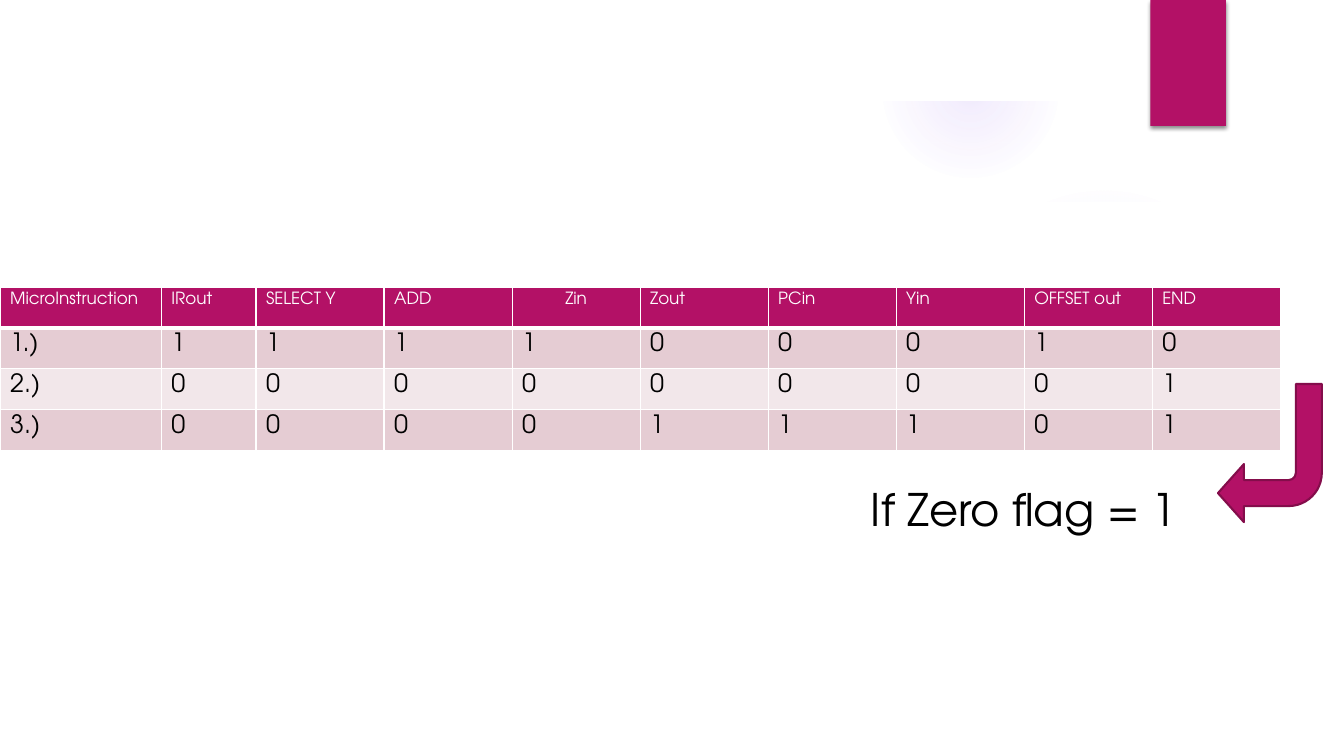
"""Build a slide with a microinstruction table and its zero flag branch."""
import pptx
import pptx.util
import pptx.dml.color
import pptx.enum.shapes
import pptx.enum.text
import pptx.oxml
import pptx.oxml.ns

Inches, Pt = pptx.util.Inches, pptx.util.Pt
RGB = pptx.dml.color.RGBColor
KIND = pptx.enum.shapes.MSO_SHAPE
PINK = RGB(0xB3, 0x11, 0x66)
PLUM = RGB(0x84, 0x0D, 0x4B)
ROSE = RGB(0xE5, 0xCC, 0xD3)
PALE = RGB(0xF2, 0xE7, 0xEA)
GLOW = RGB(0x9B, 0x6B, 0xF2)
WHITE = RGB(255, 255, 255)
BLACK = RGB(0, 0, 0)
FONT = "TeX Gyre Adventor"

ROWS = [
    ("MicroInstruction", "IRout", "SELECT Y", "ADD", "Zin", "Zout", "PCin", "Yin",
     "OFFSET out", "END"),
    ("1.)", *"111100010"),
    ("2.)", *"000000001"),
    ("3.)", *"000011101"),
]
COLS = [1.6, 0.94] + [1.27] * 8
HEAD = {"size": Pt(12), "name": FONT, "bold": False}
BODY = {"size": Pt(18), "name": FONT, "bold": False}
TITLE = {"size": Pt(32), "name": FONT}
GLOWS = [
    ((9.41, 1.83, 3.08, 3.08), [(0, 7), (36, 6), (69, 0)]),
    ((8.75, 0.01, 1.75, 1.75), [(0, 14), (36, 7), (73, 0)]),
]
PANEL = [(0.5, 2.04), (0.5, 7), (12.84, 7), (12.84, 2.04), (12, 2.17), (11.16, 2.27),
         (10.32, 2.35), (9.49, 2.41), (8.67, 2.45), (7.86, 2.47), (7.08, 2.48),
         (6.32, 2.47), (5.59, 2.46), (4.88, 2.43), (4.01, 2.38), (3.21, 2.33),
         (2.49, 2.27), (1.87, 2.21), (1.35, 2.15), (0.94, 2.1)]
FRAME = [(0, 0), (0, 7.5), (13.33, 7.5), (13.33, 0)]
HOLE = [(12.81, 6.98), (0.52, 6.98), (0.52, 0.52), (12.81, 0.52)]


def node(xml):
    """Parse a drawing element."""
    name, rest = xml[:xml.index(" ")], xml[xml.index(" "):]
    return pptx.oxml.parse_xml(name + " " + pptx.oxml.ns.nsdecls("a") + rest)


def style(part, text, form, color):
    """Write one run with the given font values."""
    run = part.paragraphs[0].add_run()
    run.text = text
    for key, val in form.items():
        setattr(run.font, key, val)
    run.font.color.rgb = color


def plain(shape, color=None):
    """Drop the shadow and line, and set a solid fill."""
    shape.shadow.inherit = False
    shape.line.fill.background()
    if color is not None:
        shape.fill.solid()
        shape.fill.fore_color.rgb = color
    return shape


def place(kind, box):
    """Add a preset shape at a box in inches."""
    return slide.shapes.add_shape(kind, *map(Inches, box))


def outline(*loops):
    """Add a white shape made of closed loops."""
    pen = None
    for loop in loops:
        if pen is None:
            pen = slide.shapes.build_freeform(*loop[0], scale=Inches(1))
        else:
            pen.move_to(*loop[0])
        pen.add_line_segments(loop[1:], close=True)
    return plain(pen.convert_to_shape(), WHITE)


def edge(cell, side, width):
    """Return a white border for one side of a cell."""
    return node(f'<a:ln{side} w="{Pt(width)}"><a:solidFill><a:srgbClr val="{WHITE}"/>'
                f'</a:solidFill></a:ln{side}>')


deck = pptx.Presentation()
deck.slide_width, deck.slide_height = Inches(13.33), Inches(7.5)
slide = deck.slides.add_slide(deck.slide_layouts[6])

for box, stops in GLOWS:
    disc = plain(place(KIND.OVAL, box))
    marks = "".join(f'<a:gs pos="{at * 1000}"><a:srgbClr val="{GLOW}">'
                    f'<a:alpha val="{alpha * 1000}"/></a:srgbClr></a:gs>'
                    for at, alpha in stops)
    disc.element.spPr.insert(2, node(
        f'<a:gradFill rotWithShape="1"><a:gsLst>{marks}</a:gsLst><a:path path="circle">'
        '<a:fillToRect l="50000" t="50000" r="50000" b="50000"/></a:path></a:gradFill>'))
outline(PANEL)
outline(FRAME, HOLE)

tab = plain(place(KIND.RECTANGLE, (11.41, 0, 0.75, 1.25)), PINK)
tab.element.spPr.find(pptx.oxml.ns.qn("a:effectLst")).append(node(
    f'<a:outerShdw blurRad="{Pt(3)}" dist="{Pt(2)}" dir="5400000" rotWithShape="0">'
    f'<a:srgbClr val="{BLACK}"><a:alpha val="45000"/></a:srgbClr></a:outerShdw>'))

title = slide.shapes.add_textbox(*map(Inches, (8.54, 4.66, 3.54, 0.77))).text_frame
title.word_wrap = True
title.vertical_anchor = pptx.enum.text.MSO_ANCHOR.MIDDLE
style(title, "If Zero flag = 1", TITLE, BLACK)

grid = slide.shapes.add_table(len(ROWS), len(COLS), Inches(0), Inches(2.85),
                              Inches(sum(COLS)), Inches(1.62)).table
for col, width in zip(grid.columns, COLS):
    col.width = Inches(width)
for i, row in enumerate(ROWS):
    for j, text in enumerate(row):
        cell = grid.cell(i, j)
        cell.fill.solid()
        cell.fill.fore_color.rgb = (ROSE if i % 2 else PALE) if i else PINK
        style(cell.text_frame, text, BODY if i else HEAD, BLACK if i else WHITE)
        if text == "Zin":
            cell.text_frame.paragraphs[0].alignment = pptx.enum.text.PP_ALIGN.CENTER
        sides = {"L": 1, "R": 1, "T": 3 if i == 1 else 1, "B": 1 if i else 3}
        for k, (side, width) in enumerate(sides.items()):
            cell._tc.get_or_add_tcPr().insert(k, edge(cell, side, width))

arrow = plain(place(KIND.BENT_ARROW, (12.08, 3.81, 1.03, 1.37)), PINK)
arrow.rotation = 180
arrow.line.color.rgb = PLUM
arrow.line.width = Pt(1.5)
for k, val in enumerate((0.25, 0.28, 0.25, 0.32)):
    arrow.adjustments[k] = val

deck.save("out.pptx")
